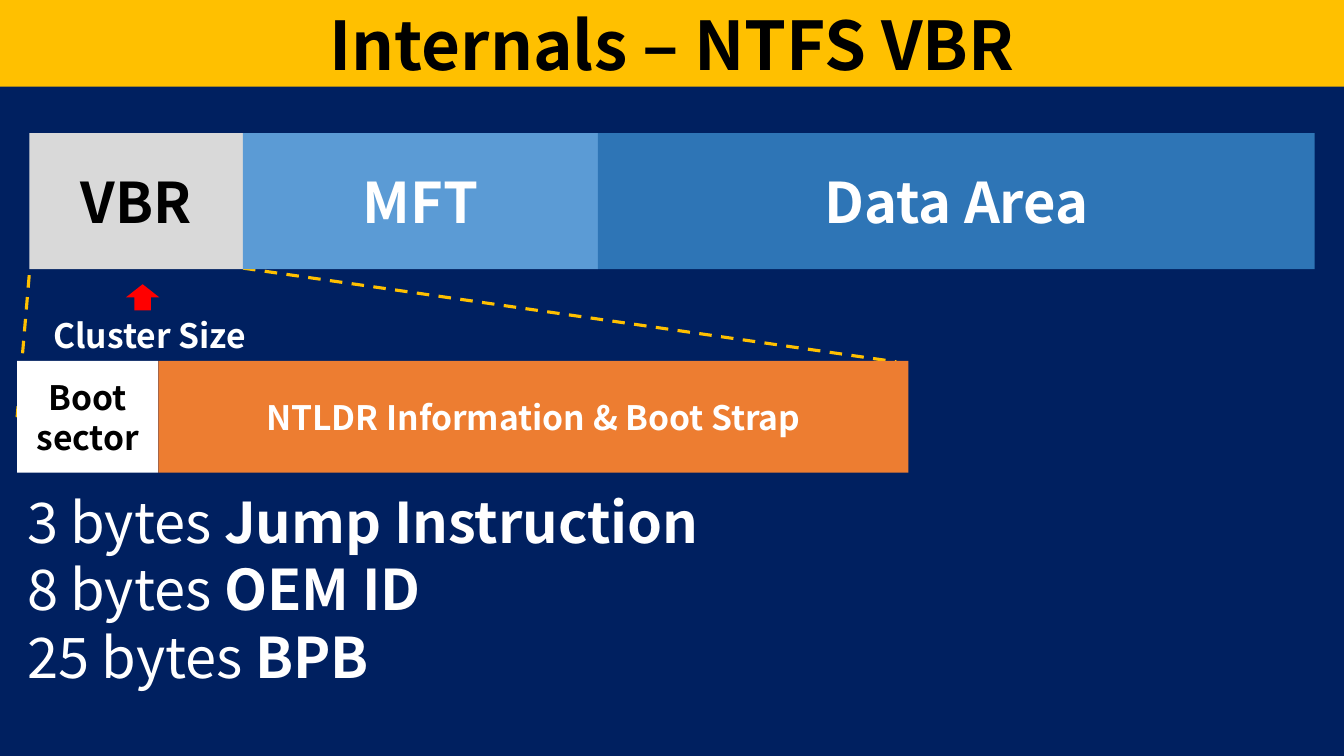
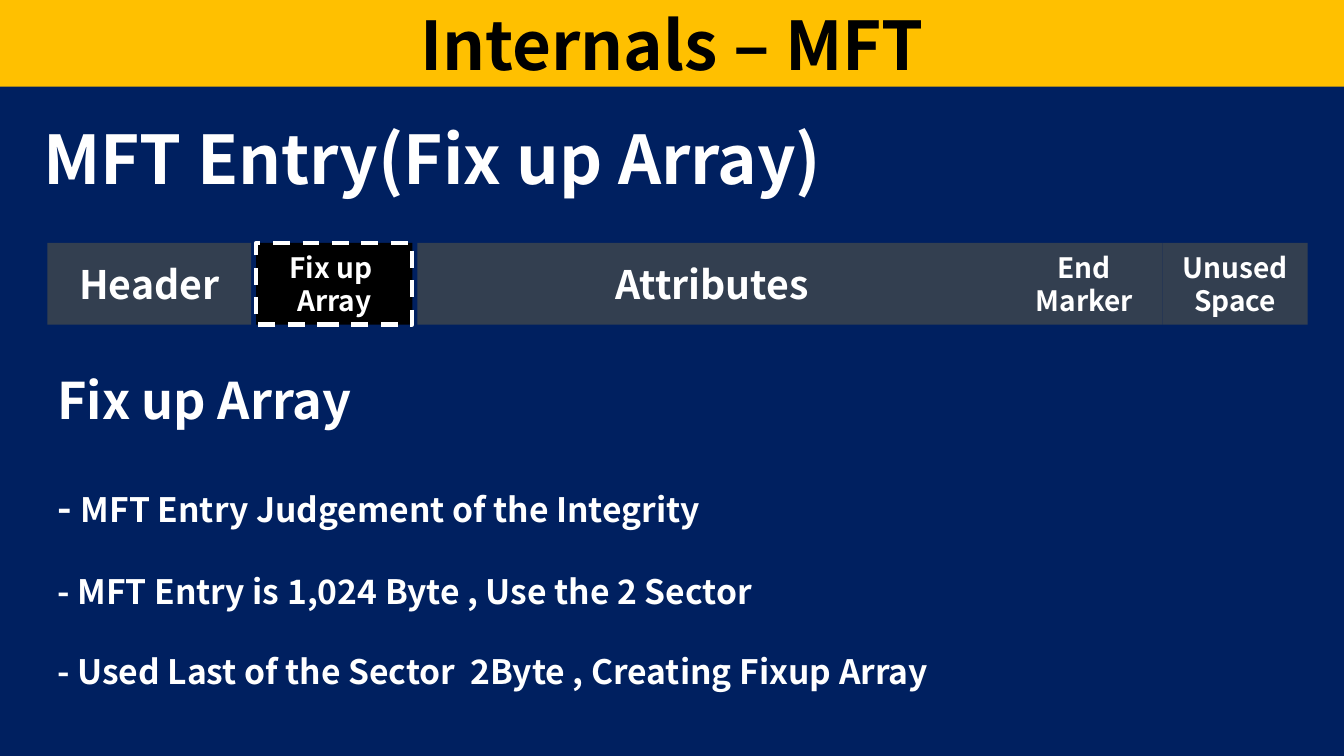
from dataclasses import dataclass

from pptx import Presentation
from pptx.dml.color import RGBColor
from pptx.enum.dml import MSO_LINE
from pptx.enum.shapes import MSO_CONNECTOR, MSO_SHAPE
from pptx.enum.text import MSO_ANCHOR, MSO_AUTO_SIZE, PP_ALIGN
from pptx.oxml.ns import qn
from pptx.util import Inches, Pt
from lxml.etree import SubElement

NAVY, GOLD, WHITE, BLACK = "002060", "FFC000", "FFFFFF", "000000"
SLATE, RED = "333F50", "FF0000"


def rgb(color):
    return RGBColor.from_string(color)


@dataclass
class Cell:
    """One part of a disk layout bar."""
    text: str
    width: float
    size: int
    fill: str
    color: str = WHITE
    gap: float = 0  # space before the next part
    dashed: bool = False


class Deck:
    font = "Noto Sans CJK KR"
    width, height = 13.33, 7.5
    band_height = 0.86
    line_factor = 1.2

    def __init__(self):
        self.prs = Presentation()
        self.prs.slide_width = Inches(self.width)
        self.prs.slide_height = Inches(self.height)
        self.slide = None

    def new_slide(self, title):
        """Start a slide with a navy background and a gold title band."""
        self.slide = self.prs.slides.add_slide(self.prs.slide_layouts[5])
        background = self.slide.background.fill
        background.solid()
        background.fore_color.rgb = rgb(NAVY)
        band = self.slide.shapes.title
        band.left = band.top = 0
        band.width, band.height = Inches(self.width), Inches(self.band_height)
        band.fill.solid()
        band.fill.fore_color.rgb = rgb(GOLD)
        band.text_frame.auto_size = MSO_AUTO_SIZE.NONE
        band.text_frame.vertical_anchor = MSO_ANCHOR.MIDDLE
        heading = band.text_frame.paragraphs[0]
        heading.alignment = PP_ALIGN.CENTER
        self.run(heading, title, 48, BLACK)

    def run(self, paragraph, text, size, color=WHITE, bold=True):
        run = paragraph.add_run()
        run.text = text
        font = run.font
        font.name, font.size, font.bold = self.font, Pt(size), bold
        font.color.rgb = rgb(color)
        r_pr = run.font._element
        SubElement(r_pr, qn("a:ea")).set("typeface", self.font)

    def shape(self, kind, left, top, width, height, fill):
        shape = self.slide.shapes.add_shape(
            kind, Inches(left), Inches(top), Inches(width), Inches(height))
        shape.shadow.inherit = False
        shape.fill.solid()
        shape.fill.fore_color.rgb = rgb(fill)
        shape.line.fill.background()
        return shape

    def bar(self, left, top, height, cells):
        """Lay parts out from left to right."""
        for cell in cells:
            part = self.shape(MSO_SHAPE.RECTANGLE, left, top, cell.width, height, cell.fill)
            if cell.dashed:
                self.dash(part.line, WHITE, 3)
            frame = part.text_frame
            frame.word_wrap = True
            frame.vertical_anchor = MSO_ANCHOR.MIDDLE
            lines = cell.text.split("\n")
            for index, line in enumerate(lines):
                paragraph = frame.add_paragraph() if index else frame.paragraphs[0]
                paragraph.alignment = PP_ALIGN.CENTER
                if len(lines) > 1:
                    paragraph.line_spacing = Pt(cell.size * self.line_factor)
                self.run(paragraph, line, cell.size, cell.color)
            left += cell.width + cell.gap

    def text(self, left, top, width, height, paragraphs):
        """Each paragraph is (space before, runs); a run is (text, size[, bold])."""
        box = self.slide.shapes.add_textbox(
            Inches(left), Inches(top), Inches(width), Inches(height))
        frame = box.text_frame
        frame.word_wrap = True
        for index, (space, runs) in enumerate(paragraphs):
            paragraph = frame.add_paragraph() if index else frame.paragraphs[0]
            paragraph.space_before = Pt(space)
            paragraph.line_spacing = Pt(max(run[1] for run in runs) * self.line_factor)
            for text, size, *bold in runs:
                self.run(paragraph, text, size, bold=bold[0] if bold else True)

    def dash(self, line, color, weight):
        line.color.rgb = rgb(color)
        line.width = Pt(weight)
        line.dash_style = MSO_LINE.DASH

    def dashed_line(self, x1, y1, x2, y2):
        line = self.slide.shapes.add_connector(
            MSO_CONNECTOR.STRAIGHT, Inches(x1), Inches(y1), Inches(x2), Inches(y2))
        self.dash(line.line, GOLD, 2.25)
        SubElement(line._element.spPr, qn("a:effectLst"))


def build_vbr(deck):
    deck.new_slide("Internals – NTFS VBR")
    # Zoom lines from the VBR to its contents
    deck.dashed_line(0.29, 2.73, 0.17, 4.14)
    deck.dashed_line(2.41, 2.66, 8.89, 3.59)
    # Volume and VBR layouts
    deck.bar(0.29, 1.32, 1.35, [
        Cell("VBR", 2.12, 40, "D9D9D9", BLACK),
        Cell("MFT", 3.52, 40, "5B9BD5"),
        Cell("Data Area", 7.11, 40, "2E75B6"),
    ])
    deck.bar(0.17, 3.58, 1.11, [
        Cell("Boot\nsector", 1.4, 24, WHITE, BLACK),
        Cell("NTLDR Information & Boot Strap", 7.44, 24, "ED7D31"),
    ])
    # Cluster size marker
    deck.text(0.43, 3.08, 2.25, 0.5, [(0, [("Cluster Size", 24)])])
    deck.shape(MSO_SHAPE.UP_ARROW, 1.25, 2.82, 0.33, 0.26, RED)
    # Boot sector fields
    fields = [("3", "Jump Instruction"), ("8", "OEM ID"), ("25", "BPB")]
    deck.text(0.17, 4.79, 12, 2.12, [
        (0, [(f"{count} bytes ", 40, False), (field, 40)]) for count, field in fields])


def build_mft(deck):
    deck.new_slide("Internals – MFT")
    deck.text(0.33, 1.11, 12, 0.91, [(0, [("MFT Entry(Fix up Array)", 48)])])
    # MFT entry layout
    deck.bar(0.47, 2.41, 0.81, [
        Cell("Header", 2.02, 28, SLATE, gap=0.05),
        Cell("Fix up \nArray", 1.55, 20, BLACK, gap=0.05, dashed=True),
        Cell("Attributes", 5.84, 28, SLATE),
        Cell("End\nMarker", 1.55, 20, SLATE),
        Cell("Unused\nSpace", 1.44, 20, SLATE),
    ])
    # Notes on the fix up array
    deck.text(0.47, 3.61, 12.74, 3.33, [
        (0, [("Fix up Array", 36)]),
        (38.4, [("- ", 28), ("MFT Entry Judgement of the Integrity", 24)]),
        (28.8, [("- MFT Entry is 1,024 Byte , Use the 2 Sector", 24)]),
        (28.8, [("- Used Last of the Sector  2Byte , Creating Fixup Array", 24)]),
    ])


def main():
    deck = Deck()
    build_vbr(deck)
    build_mft(deck)
    deck.prs.save("out.pptx")


if __name__ == "__main__":
    main()
